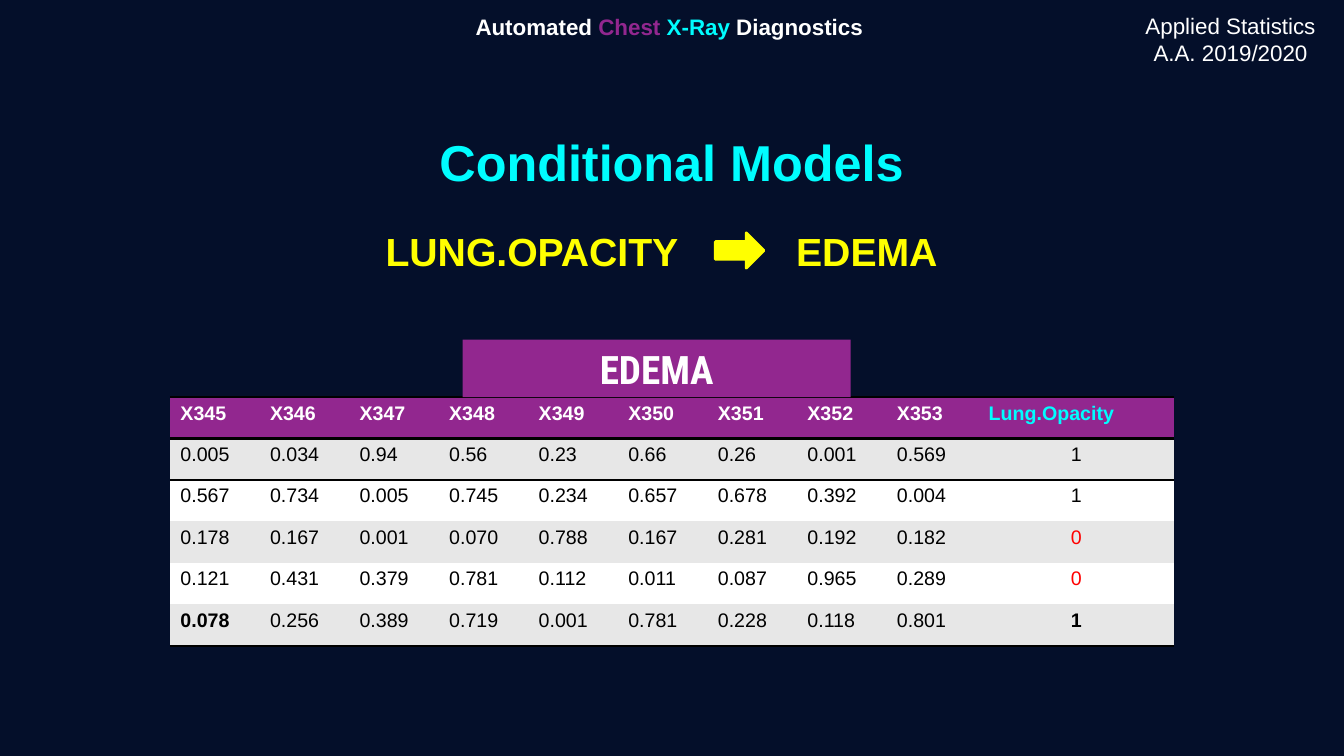
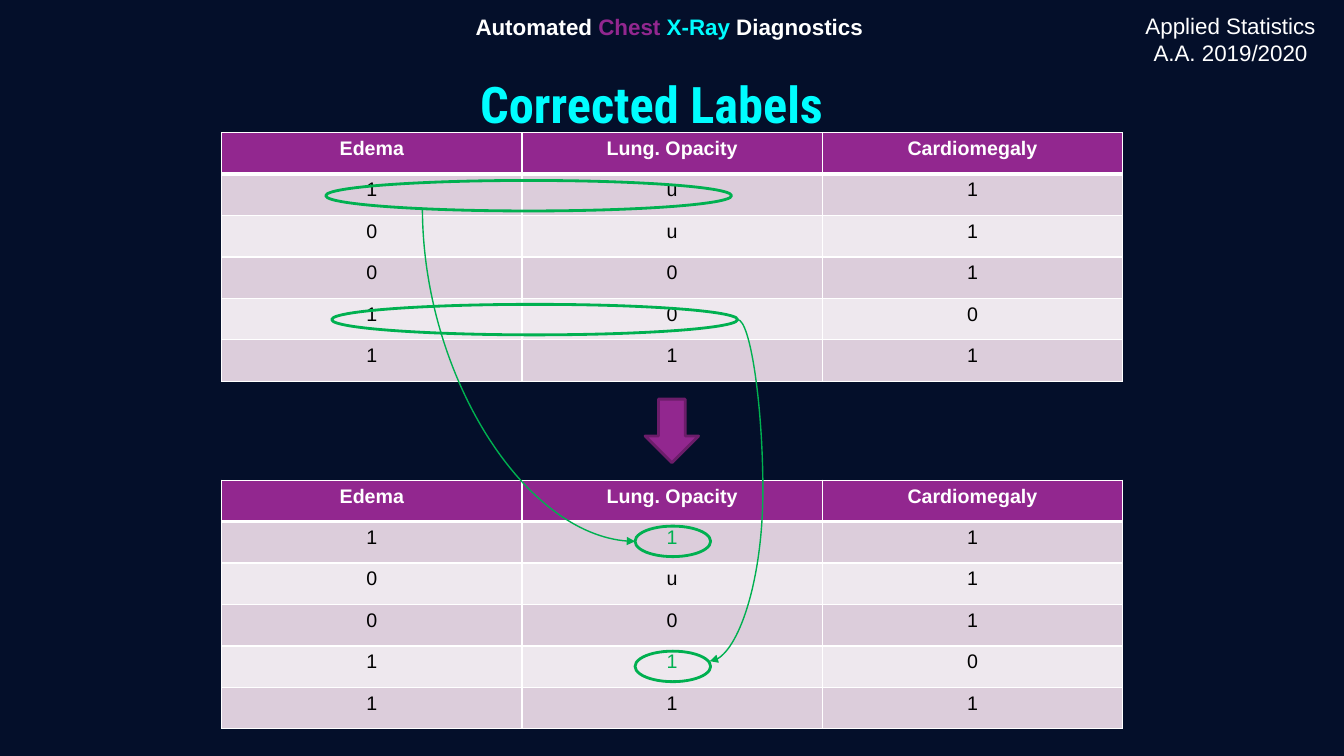
"""Build two slides on conditional models and corrected labels."""
from dataclasses import dataclass

from lxml import etree
from pptx import Presentation
from pptx.dml.color import RGBColor
from pptx.enum import shapes, text
from pptx.oxml import ns
from pptx.util import Pt


@dataclass(frozen=True)
class Theme:
    """Colours, fonts and type sizes of the deck."""
    navy: str = "040F2A"
    cyan: str = "00FDFF"
    purple: str = "92278F"
    plum: str = "6C1D6A"
    yellow: str = "FFFF00"
    green: str = "00B050"
    red: str = "FF0000"
    white: str = "FFFFFF"
    black: str = "000000"
    grey_bands: tuple = ("E7E7E7", "FFFFFF")
    mauve_bands: tuple = ("DCCDDB", "EEE8EE")
    sans: str = "Arial"
    condensed: str = "Roboto Condensed"
    title: int = 36
    heading: int = 28
    banner: int = 16
    cell: int = 14


T = Theme()
CENTER, LEFT = text.PP_ALIGN.CENTER, text.PP_ALIGN.LEFT
SHAPE = shapes.MSO_SHAPE
PLAIN_TABLE = "{2D5ABB26-0587-4C30-8999-92F81FD0307C}"
ROW_H = 29.6

FEATURES = [
    [f"X{n}" for n in range(345, 354)] + ["Lung.Opacity"],
    "0.005 0.034 0.94 0.56 0.23 0.66 0.26 0.001 0.569 1".split(),
    "0.567 0.734 0.005 0.745 0.234 0.657 0.678 0.392 0.004 1".split(),
    "0.178 0.167 0.001 0.070 0.788 0.167 0.281 0.192 0.182 0".split(),
    "0.121 0.431 0.379 0.781 0.112 0.011 0.087 0.965 0.289 0".split(),
    "0.078 0.256 0.389 0.719 0.001 0.781 0.228 0.118 0.801 1".split(),
]
LABEL_HEADS = ["Edema", "Lung. Opacity", "Cardiomegaly"]
LABELS = [LABEL_HEADS, *map(list, ("1u1", "0u1", "001", "100", "111"))]
CORRECTED = [LABEL_HEADS, *map(list, ("111", "0u1", "001", "110", "111"))]


def rgb(value):
    """Return a colour object for a hex value."""
    return RGBColor.from_string(value)


def write(tf, runs, size, font=T.sans, bold=True, align=CENTER):
    """Write (text, colour) runs into the first paragraph."""
    p = tf.paragraphs[0]
    p.alignment = align
    for words, color in runs:
        r = p.add_run()
        r.text = words
        r.font.size, r.font.name, r.font.bold = Pt(size), font, bold
        r.font.color.rgb = rgb(color)


def add_text(s, box, runs, size, **style):
    """Add a wrapping text box and return its frame."""
    tf = s.shapes.add_textbox(*map(Pt, box)).text_frame
    tf.word_wrap = True
    write(tf, runs, size, **style)
    return tf


def add_figure(s, kind, box, fill=None, line=None):
    """Add a preset shape with an optional fill and outline."""
    sp = s.shapes.add_shape(kind, *map(Pt, box))
    sp.shadow.inherit = False
    if fill:
        sp.fill.solid()
        sp.fill.fore_color.rgb = rgb(fill)
    else:
        sp.fill.background()
    if line:
        sp.line.color.rgb = rgb(line)
        sp.line.width = Pt(2)
    else:
        sp.line.fill.background()
    return sp


def set_borders(cell, color, widths):
    """Draw the cell sides listed in widths, in points."""
    tc_pr = cell._tc.get_or_add_tcPr()
    for side in "LRTB":
        if side in widths:
            ln = etree.SubElement(tc_pr, ns.qn(f"a:ln{side}"), w=str(Pt(widths[side])))
            fill = etree.SubElement(ln, ns.qn("a:solidFill"))
            etree.SubElement(fill, ns.qn("a:srgbClr"), val=color)


def add_grid(s, left, top, widths, rows, bands, line, borders, align, marks):
    """Add a banded table; marks maps (row, column) to (colour, bold)."""
    frame = s.shapes.add_table(len(rows), len(widths), Pt(left), Pt(top),
                               Pt(sum(widths)), Pt(ROW_H * len(rows)))
    table = frame.table
    table.first_row = table.horz_banding = False
    table._tbl.tblPr.find(ns.qn("a:tableStyleId")).text = PLAIN_TABLE
    for column, width in zip(table.columns, widths):
        column.width = Pt(width)
    for i, row in enumerate(rows):
        table.rows[i].height = Pt(ROW_H)
        for j, value in enumerate(row):
            cell = table.cell(i, j)
            set_borders(cell, line, borders(i))
            cell.fill.solid()
            cell.fill.fore_color.rgb = rgb(bands[(i - 1) % 2] if i else T.purple)
            usual = (T.black, False) if i else (T.white, True)
            color, bold = marks.get((i, j), usual)
            write(cell.text_frame, [(value, color)], T.cell, bold=bold, align=align(i, j))


def feature_borders(i):
    """Return black rules around the header and below the last row."""
    rules = {0: {"T": 2, "B": 2}, 1: {"T": 2}, len(FEATURES) - 1: {"B": 2}}
    return rules.get(i, {})


def label_borders(i):
    """Return a thin white grid with a heavy rule under the header."""
    return {"L": 1, "R": 1, "T": 3 if i == 1 else 1, "B": 1 if i else 3}


def add_labels(s, top, rows, marks):
    """Add a three-column table of labels."""
    add_grid(s, 158.4, top, [214.5] * 3, rows, T.mauve_bands, T.white,
             label_borders, lambda i, j: CENTER, marks)


def add_curve(s, start, end):
    """Add a green curved arrow and return it."""
    c = s.shapes.add_connector(shapes.MSO_CONNECTOR.CURVE, *map(Pt, (*start, *end)))
    c.line.color.rgb = rgb(T.green)
    c.line.width = Pt(1)
    etree.SubElement(c.line._get_or_add_ln(), ns.qn("a:tailEnd"), type="triangle")
    etree.SubElement(c.element.spPr, ns.qn("a:effectLst"))
    return c


def add_bow(s, start, end, bulge):
    """Add a curve that bows out by a share of its width."""
    geom = add_curve(s, start, end).element.spPr.find(ns.qn("a:prstGeom"))
    guides = geom.find(ns.qn("a:avLst"))
    if guides is None:
        guides = etree.SubElement(geom, ns.qn("a:avLst"))
    etree.SubElement(guides, ns.qn("a:gd"), name="adj1", fmla=f"val {round(bulge * 100000)}")


def add_bend(s, start, end):
    """Add a curve that leaves downwards and arrives sideways."""
    (x1, y1), (x2, y2) = start, end
    cx, cy, dx, dy = (x1 + x2) / 2, (y1 + y2) / 2, (x2 - x1) / 2, (y2 - y1) / 2
    sp_pr = add_curve(s, (cx + dy, cy - dx), (cx - dy, cy + dx)).element.spPr
    sp_pr.find(ns.qn("a:xfrm")).set("rot", str(270 * 60000))
    sp_pr.find(ns.qn("a:prstGeom")).set("prst", "curvedConnector2")


def add_slide(prs):
    """Add a navy slide with the running banner and course name."""
    s = prs.slides.add_slide(prs.slide_layouts[6])
    s.background.fill.solid()
    s.background.fill.fore_color.rgb = rgb(T.navy)
    banner = [("Automated ", T.white), ("Chest ", T.purple),
              ("X-Ray", T.cyan), (" Diagnostics", T.white)]
    tf = add_text(s, (322.5, 4.3, 311, 31.7), banner, T.banner)
    tf.vertical_anchor = text.MSO_ANCHOR.BOTTOM
    tf.margin_top = tf.margin_bottom = Pt(7.2)
    add_text(s, (807, 5, 144, 46), [("Applied Statistics A.A. 2019/2020", T.white)],
             T.banner, bold=False)
    return s


def add_title(s, left, top, words, font):
    """Add a cyan slide title."""
    add_text(s, (left, top, 359.3, 51), [(words, T.cyan)], T.title, font=font)


def conditional_models(prs):
    """Build the slide on conditional models."""
    s = add_slide(prs)
    add_title(s, 300.2, 90, "Conditional Models", T.sans)
    last = len(FEATURES[0]) - 1
    marks = {(0, last): (T.cyan, True), (3, last): (T.red, False),
             (4, last): (T.red, False), (5, 0): (T.black, True),
             (5, last): (T.black, True)}
    add_grid(s, 121.7, 283.7, [64] * 8 + [65.5, 139.7], FEATURES, T.grey_bands,
             T.black, feature_borders,
             lambda i, j: CENTER if i and j == last else LEFT, marks)
    sp = add_figure(s, SHAPE.RECTANGLE, (330.5, 242.5, 277.2, 41.2), T.purple)
    write(sp.text_frame, [("EDEMA", T.white)], T.heading, font=T.condensed)
    for left, width, words in ((262, 236, "LUNG.OPACITY"), (554.4, 129.6, "EDEMA")):
        add_text(s, (left, 159.1, width, 41.2), [(words, T.yellow)], T.heading)
    add_figure(s, SHAPE.RIGHT_ARROW, (511, 166.3, 34.6, 25.2), T.yellow, T.yellow)


def corrected_labels(prs):
    """Build the slide on corrected labels."""
    s = add_slide(prs)
    fixed = (T.green, False)
    add_labels(s, 343, CORRECTED, {(1, 1): fixed, (4, 1): fixed})
    add_labels(s, 94.8, LABELS, {})
    add_figure(s, SHAPE.DOWN_ARROW, (460.8, 285.1, 38.2, 45.4), T.purple, T.plum)
    add_title(s, 285.8, 49, "Corrected Labels", T.condensed)
    for left, top, width in ((232.6, 128.9, 290), (236.9, 217.4, 290),
                             (453.6, 375.8, 54), (453.6, 465.1, 54)):
        add_figure(s, SHAPE.OVAL, (left, top, width, 21.8), line=T.green)
    add_bend(s, (301.7, 148.3), (453.6, 386.7))
    add_bow(s, (526.9, 228.3), (507, 472.3), -0.91)


def main():
    """Build and save the deck."""
    prs = Presentation()
    prs.slide_width, prs.slide_height = Pt(960), Pt(540)
    conditional_models(prs)
    corrected_labels(prs)
    prs.save("out.pptx")


if __name__ == "__main__":
    main()
